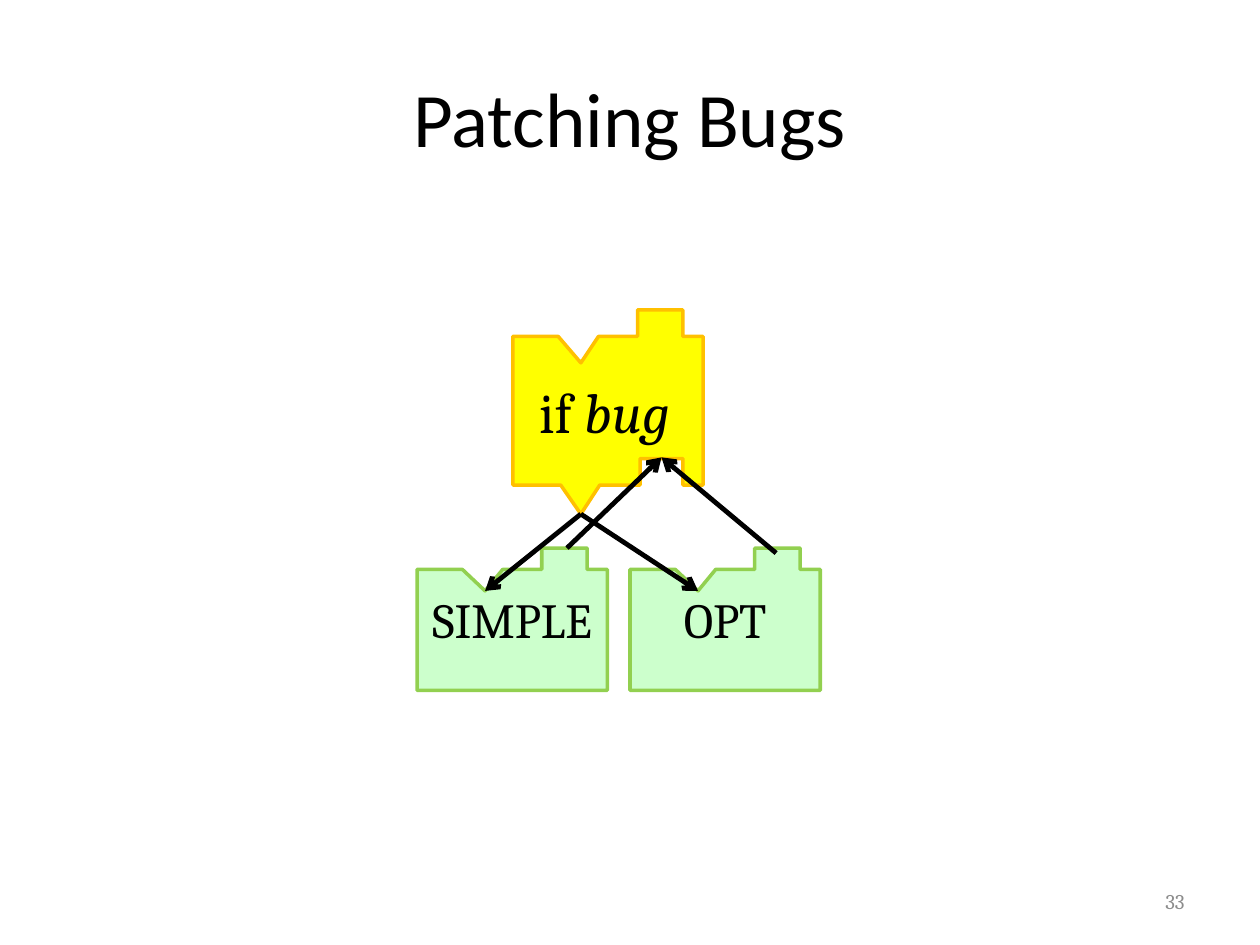
from lxml import etree
from pptx import Presentation
from pptx.dml.color import RGBColor
from pptx.enum.shapes import MSO_CONNECTOR
from pptx.enum.text import MSO_ANCHOR, PP_ALIGN
from pptx.oxml.ns import qn
from pptx.util import Inches, Pt

STRAIGHT = MSO_CONNECTOR.STRAIGHT
MIDDLE, TOP = MSO_ANCHOR.MIDDLE, MSO_ANCHOR.TOP
LEFT, CENTER, RIGHT = PP_ALIGN.LEFT, PP_ALIGN.CENTER, PP_ALIGN.RIGHT
TITLE_ONLY = 5
BLOCK_WIDTH = 1.51
PEG_X = 0.54


def color(value):
    """Turn a hex string into a colour."""
    return RGBColor.from_string(value)


def write(shape, runs, size, font, align, anchor=MIDDLE, ink="000000"):
    """Write (text, italic) runs into the first paragraph of a shape."""
    frame = shape.text_frame
    frame.word_wrap = True
    frame.vertical_anchor = anchor
    paragraph = frame.paragraphs[0]
    paragraph.alignment = align
    for text, italic in runs:
        run = paragraph.add_run()
        run.text = text
        run.font.name = font
        run.font.size = Pt(size)
        run.font.italic = italic
        run.font.color.rgb = color(ink)


def place_title(slide, left, top, width, height):
    """Move and fill the title placeholder."""
    title = slide.shapes.title
    title.left, title.top = Inches(left), Inches(top)
    title.width, title.height = Inches(width), Inches(height)
    write(title, [("Patching Bugs", False)], 44, "Calibri", CENTER)


def add_text(slide, box, *style):
    """Add a text box in the given box with the given text style."""
    write(slide.shapes.add_textbox(*map(Inches, box)), *style)


def add_block(slide, left, top, step, bottom, fill, line):
    """Add a puzzle block with a notch and a tab on top and the given bottom edge."""
    top_edge = [(0, step), (0.36, step), (PEG_X, 2 * step), (0.68, step), (0.99, step),
                (0.99, 0), (1.35, 0), (1.35, step), (BLOCK_WIDTH, step)]
    points = [(Inches(left + x), Inches(top + y)) for x, y in top_edge + bottom]
    builder = slide.shapes.build_freeform(*points[0])
    builder.add_line_segments(points[1:], close=True)
    block = builder.convert_to_shape()
    block.shadow.inherit = False
    block.fill.solid()
    block.fill.fore_color.rgb = color(fill)
    block.line.color.rgb = color(line)
    block.line.width = Pt(2)
    return block


def add_condition(slide, left, top):
    """Add the yellow condition block with its label."""
    base = 1.39
    bottom = [(BLOCK_WIDTH, base), (1.35, base), (1.35, 1.18), (1.01, 1.18), (1.01, base),
              (0.69, base), (PEG_X, 1.62), (0.38, base), (0, base)]
    add_block(slide, left, top, 0.21, bottom, "FFFF00", "FFC000")
    add_text(slide, (left + 0.11, top + 0.49, BLOCK_WIDTH, 0.64),
             [("if ", False), ("bug", True)], 32, "Cambria", LEFT, TOP)


def add_version(slide, left, top, name):
    """Add a green block that holds one version of the code."""
    bottom = [(BLOCK_WIDTH, 1.13), (0, 1.13)]
    block = add_block(slide, left, top, 0.17, bottom, "CCFFCC", "92D050")
    block.text_frame.margin_left = block.text_frame.margin_right = 0
    write(block, [(name, False)], 28, "Cambria", CENTER)


def add_arrow(slide, start, end):
    """Add a black arrow between two points."""
    arrow = slide.shapes.add_connector(STRAIGHT, *map(Inches, start + end))
    arrow.line.color.rgb = color("000000")
    arrow.line.width = Pt(2.75)
    etree.SubElement(arrow.line._get_or_add_ln(), qn("a:tailEnd"), type="arrow")
    etree.SubElement(arrow._element.spPr, qn("a:effectLst"))


def add_diagram(slide, left, top):
    """Add the condition, the two versions and the arrows between them."""
    condition_left, version_top = left + 0.76, top + 1.89
    peg = (condition_left + PEG_X, top + 1.62)
    socket = (condition_left + 1.18, top + 1.17)
    versions = [("SIMPLE", left), ("OPT", left + 1.69)]
    add_condition(slide, condition_left, top)
    for name, version_left in versions:
        add_version(slide, version_left, version_top, name)
    for _, version_left in versions:
        add_arrow(slide, peg, (version_left + PEG_X, version_top + 0.34))
    for start in [(left + 1.19, version_top), (left + 2.85, version_top + 0.04)]:
        add_arrow(slide, start, socket)


def main():
    """Build and save the presentation."""
    presentation = Presentation()
    presentation.slide_width, presentation.slide_height = Inches(10), Inches(7.5)
    slide = presentation.slides.add_slide(presentation.slide_layouts[TITLE_ONLY])
    place_title(slide, 0.5, 0.3, 9, 1.25)
    add_text(slide, (7.17, 6.95, 2.33, 0.4), [("33", False)], 12, "Cambria", RIGHT, MIDDLE, "8C8C8C")
    add_diagram(slide, 3.31, 2.46)
    presentation.save("out.pptx")


if __name__ == "__main__":
    main()
